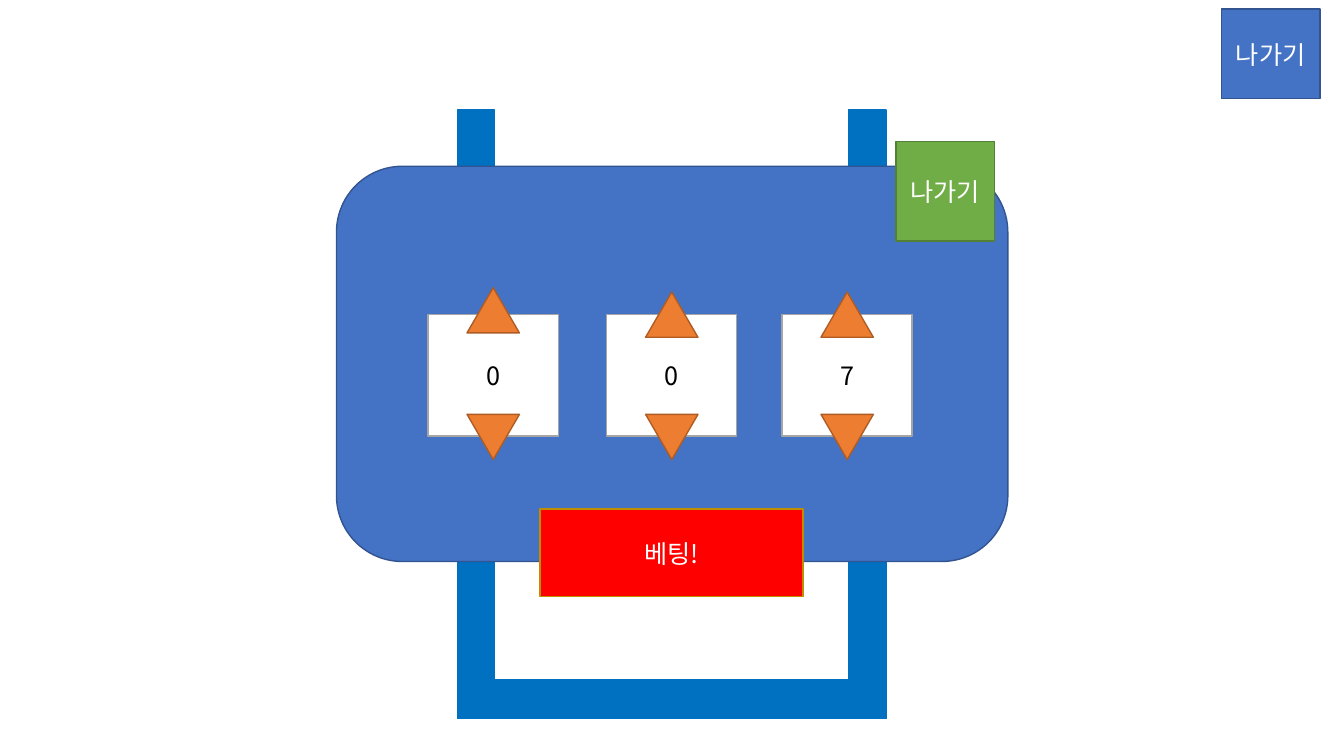
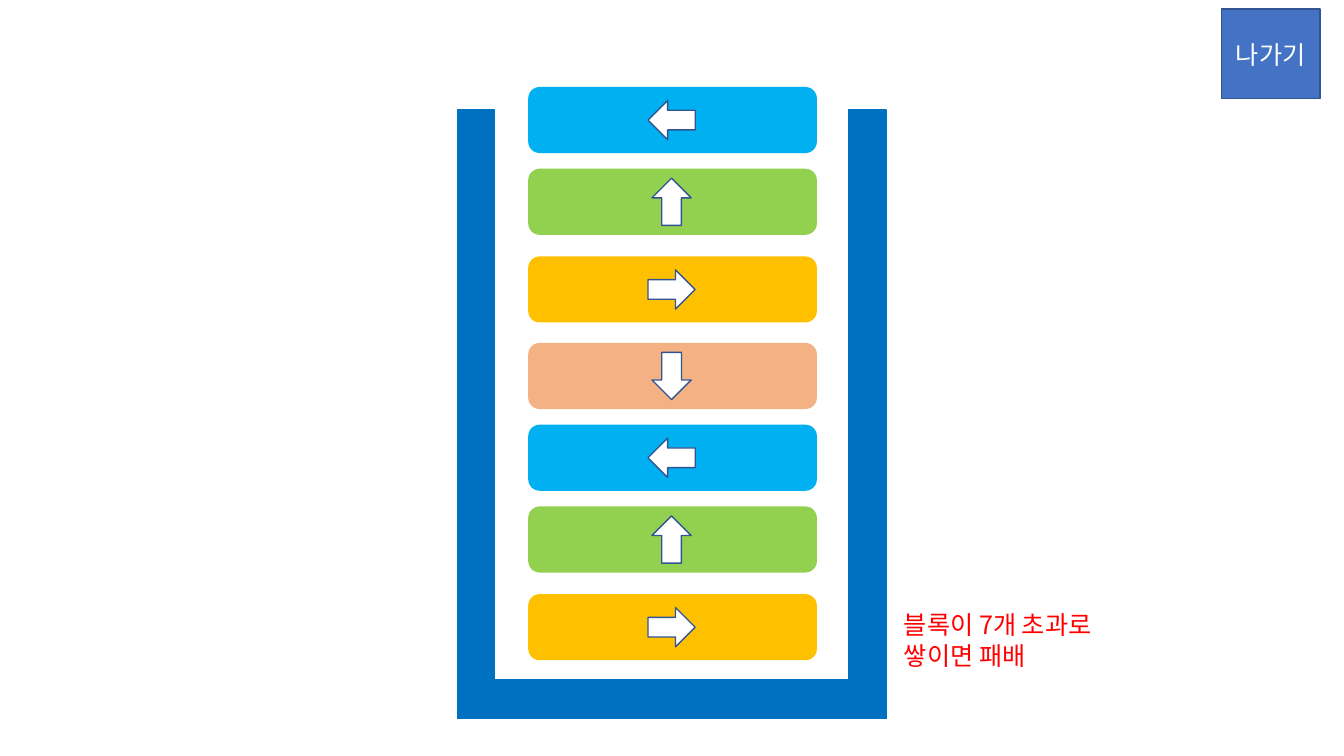
from lxml import etree
from pptx import Presentation
from pptx import util as u
from pptx.dml.color import RGBColor
from pptx.enum import shapes, text
from pptx.oxml import ns

Cm = u.Cm
KIND = shapes.MSO_SHAPE
FONT = "Noto Sans CJK KR"
COLORS = {
    "white": "FFFFFF", "black": "000000", "grey": "A5A5A5", "red": "FF0000",
    "blue": "4472C4", "navy": "325491", "frame": "0070C0",
    "green": "70AD47", "dark_green": "538035",
    "orange": "ED7D31", "brown": "AF5C24", "gold": "BD8E00",
    "sky": "00B0F0", "lime": "92D050", "amber": "FFC000", "peach": "F4B183",
}
MIDDLE = 16.93  # centre line of the game

# Blocks from the top: colour, arrow rotation, offset within a cycle of four
CYCLE = [("sky", 180, 0), ("lime", 270, 2.06), ("amber", 0, 4.27), ("peach", 90, 6.45)]
CYCLE_HEIGHT = 8.51
BLOCK_COUNT = 7

# Reels: digit, centre, top of the upper triangle
REELS = [("0", 12.43, 7.25), ("0", MIDDLE, 7.36), ("7", 21.35, 7.36)]


def rgb(name):
    return RGBColor.from_string(COLORS[name])


def write(tf, words, color, align):
    tf.word_wrap = True
    p = tf.paragraphs[0]
    p.text = words
    p.alignment = align
    p.font.size = u.Pt(18)
    p.font.name = FONT
    p.font.color.rgb = rgb(color)
    # Korean glyphs take the East Asian typeface
    props = p._p.pPr.find(ns.qn("a:defRPr"))
    etree.SubElement(props, ns.qn("a:ea"), typeface=FONT)


def add_shape(parent, kind, box, fill, line, rotation=0):
    sp = parent.shapes.add_shape(kind, *map(Cm, box))
    sp.shadow.inherit = False
    sp.fill.solid()
    sp.fill.fore_color.rgb = rgb(fill)
    sp.line.color.rgb = rgb(line)
    sp.line.width = u.Pt(1)
    sp.rotation = rotation
    return sp


def add_button(s, box, words, fill, line, color="white"):
    sp = add_shape(s, KIND.RECTANGLE, box, fill, line)
    sp.text_frame.vertical_anchor = text.MSO_ANCHOR.MIDDLE
    write(sp.text_frame, words, color, text.PP_ALIGN.CENTER)


def add_frame(s):
    group = s.shapes.add_group_shape()
    for box in [(21.39, 2.77, 0.94, 15.34), (11.53, 17.12, 10.8, 0.99),
                (11.53, 2.77, 0.94, 15.34)]:
        add_shape(group, KIND.RECTANGLE, box, "frame", "frame")


def add_reel(s, digit, center, upper_top):
    add_button(s, (center - 1.64, 7.92, 3.28, 3.07), digit, "white", "grey", "black")
    for top, rotation in [(upper_top, 0), (10.44, 180)]:
        add_shape(s, KIND.ISOSCELES_TRIANGLE, (center - 0.66, top, 1.32, 1.14),
                  "orange", "brown", rotation)


def add_block(s, top, color, rotation):
    group = s.shapes.add_group_shape()
    add_shape(group, KIND.ROUNDED_RECTANGLE, (MIDDLE - 3.6, top, 7.24, 1.63), color, color)
    add_shape(group, KIND.RIGHT_ARROW, (MIDDLE - 0.6, top + 0.32, 1.19, 0.99),
              "white", "navy", rotation)


def add_game_slide(prs):
    s = prs.slides.add_slide(prs.slide_layouts[6])
    add_frame(s)
    add_button(s, (30.78, 0.23, 2.49, 2.26), "나가기", "blue", "navy")
    return s


def build_betting(prs):
    s = add_game_slide(prs)
    add_shape(s, KIND.ROUNDED_RECTANGLE, (8.48, 4.19, 16.92, 9.96), "blue", "navy")
    for reel in REELS:
        add_reel(s, *reel)
    add_button(s, (13.61, 12.83, 6.63, 2.21), "베팅!", "red", "gold")
    add_button(s, (22.58, 3.56, 2.49, 2.51), "나가기", "green", "dark_green")


def build_stack(prs):
    s = add_game_slide(prs)
    # Stack from the bottom upwards
    for i in reversed(range(BLOCK_COUNT)):
        cycle, place = divmod(i, len(CYCLE))
        color, rotation, offset = CYCLE[place]
        add_block(s, 2.21 + cycle * CYCLE_HEIGHT + offset, color, rotation)
    # Losing rule
    rule = s.shapes.add_textbox(Cm(22.53), Cm(15.24), Cm(6.78), Cm(1.8))
    write(rule.text_frame, "블록이 7개 초과로 쌓이면 패배", "red", text.PP_ALIGN.LEFT)


def main():
    prs = Presentation()
    prs.slide_width, prs.slide_height = Cm(33.87), Cm(19.05)
    build_betting(prs)
    build_stack(prs)
    prs.save("out.pptx")


main()
